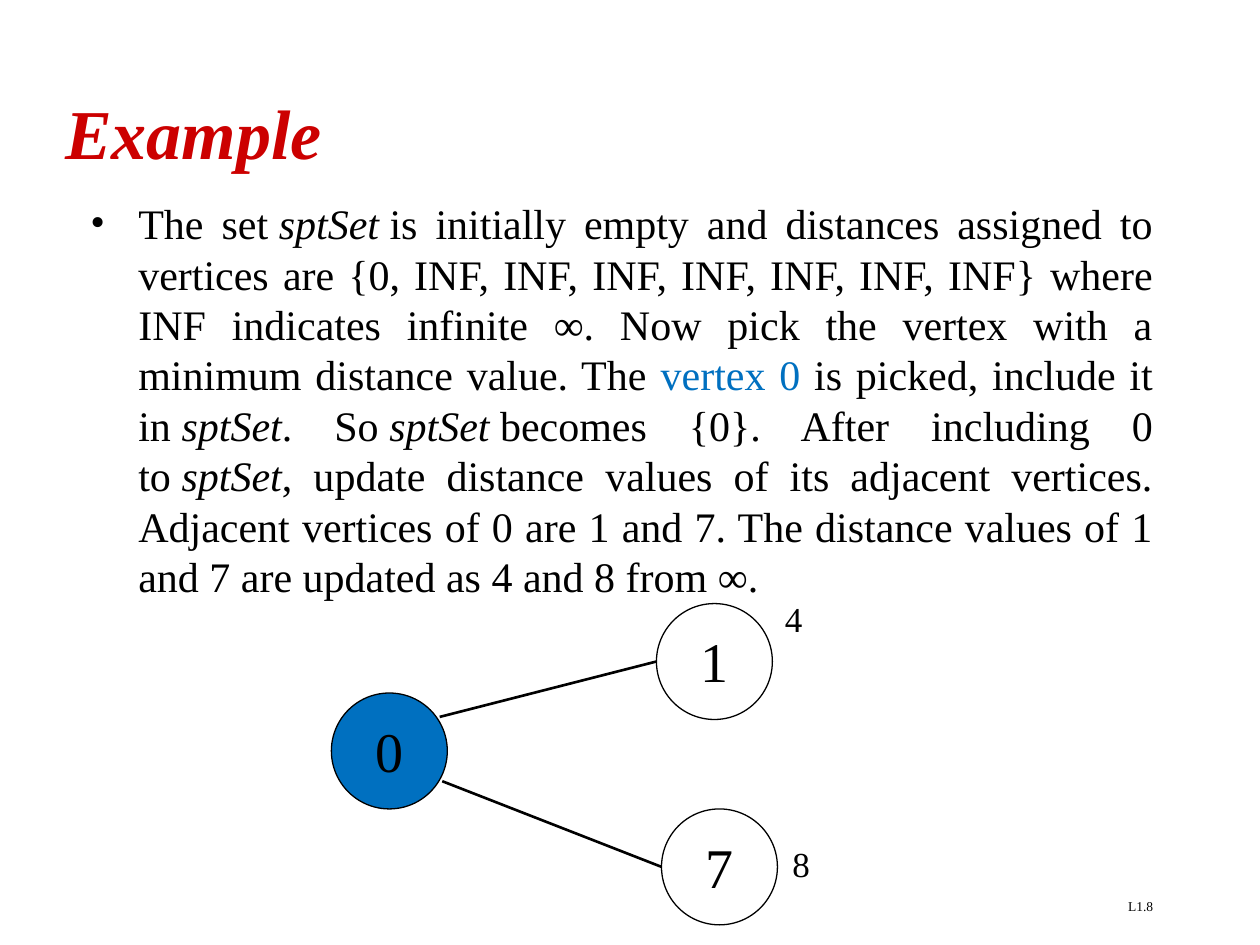
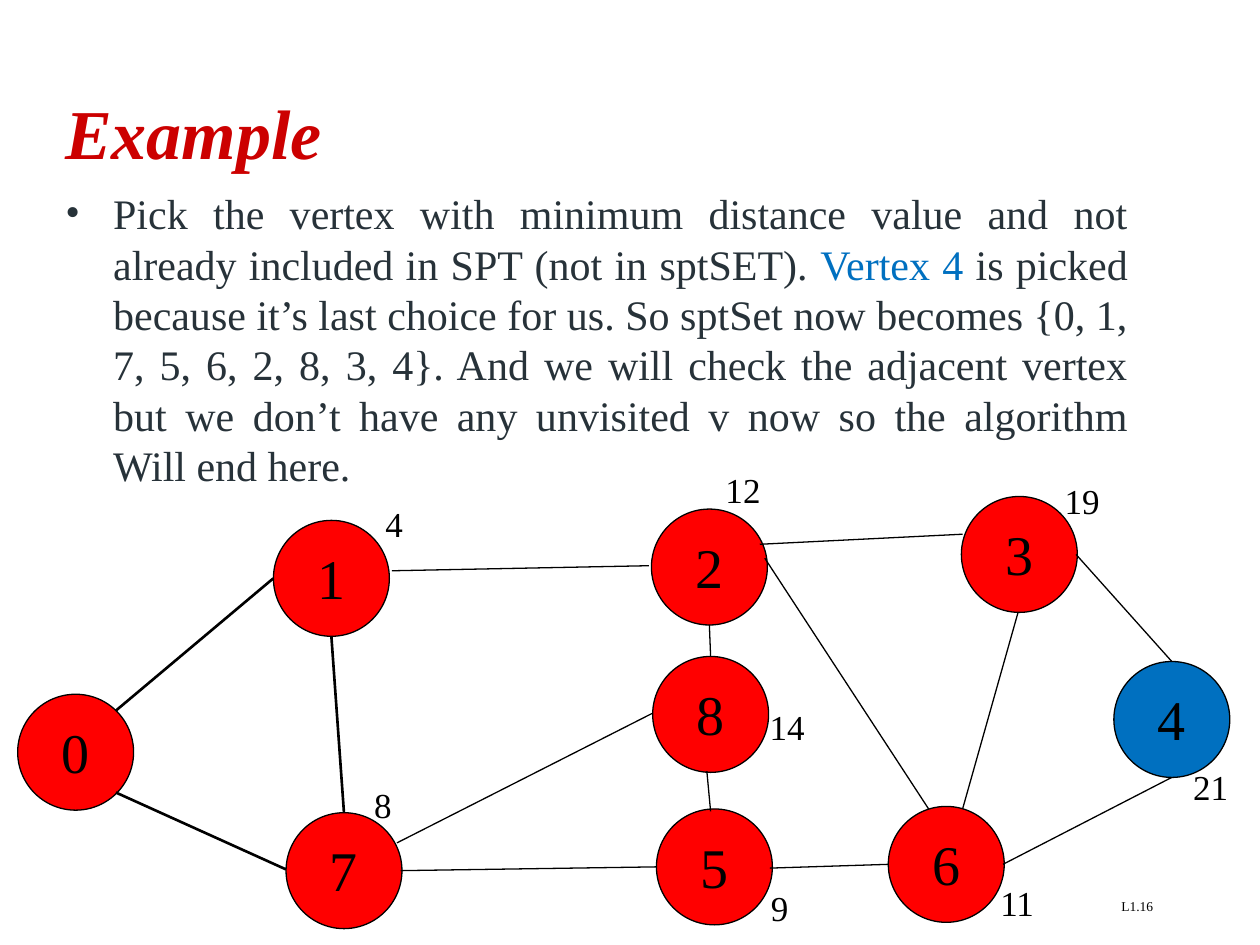
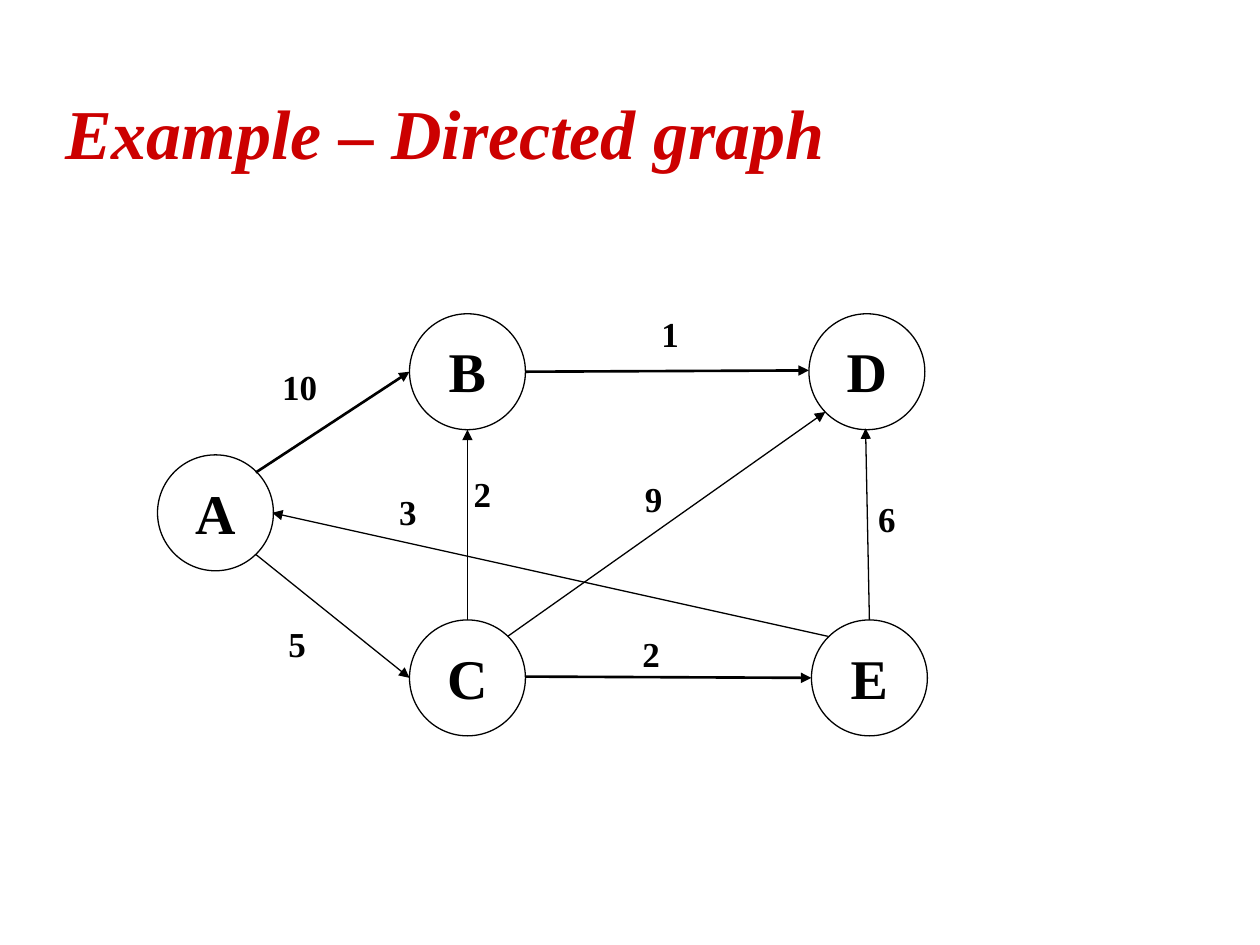
"""Builds three slides that show shortest-path steps and a directed graph."""
from lxml import etree
from pptx import Presentation
from pptx.dml.color import RGBColor
from pptx.enum import shapes, text
from pptx.oxml import ns
from pptx.util import Inches, Pt

COLORS = {"ink": "000000", "title": "CC0000", "slate": "273239",
          "picked": "0070C0", "done": "FF0000", "open": "FFFFFF"}
FONT = "Times New Roman"
NODE_SIZE = 0.92
LABEL_HEIGHT = 0.44
THIN, THICK = 0.74, 1.5


def add_run(paragraph, words, size, color="ink", bold=False, italic=False):
    run = paragraph.add_run()
    run.text = words
    run.font.name = FONT
    run.font.size = Pt(size)
    run.font.bold = bold
    run.font.italic = italic
    run.font.color.rgb = RGBColor.from_string(COLORS[color])


def add_box(slide, left, top, width, height):
    box = slide.shapes.add_textbox(Inches(left), Inches(top), Inches(width), Inches(height))
    box.text_frame.word_wrap = True
    return box.text_frame


slides = [
    {
        "title": "Example",
        "footer": "L1.8",
        "body_at": (0.62, 1.52, 8.63, 3.3),
        "body_color": "ink",
        "body": [
            ("The set\u00a0", ""), ("sptSet", "italic"),
            ("\u00a0is initially empty and distances assigned to vertices are "
             "{0, INF, INF, INF, INF, INF, INF, INF} where INF indicates infinite ∞. "
             "Now pick the vertex with a minimum distance value. The ", ""),
            ("vertex 0", "picked"), (" is picked, include it in\u00a0", ""),
            ("sptSet", "italic"), (". So\u00a0", ""), ("sptSet\u00a0", "italic"),
            ("becomes {0}. After including 0 to\u00a0", ""), ("sptSet", "italic"),
            (", update distance values of its adjacent vertices. Adjacent vertices of 0 "
             "are 1 and 7. The distance values of 1 and 7 are updated as 4 and 8 from ∞.", ""),
        ],
        "nodes": [("1", 5.21, 4.79, None), ("0", 2.63, 5.5, "picked"), ("7", 5.25, 6.42, None)],
        "edges": [(3.49, 5.69, 5.21, 5.25, THICK), (3.51, 6.2, 5.25, 6.88, THICK)],
        "labels": [("4", 6.13, 4.69, 0.38), ("8", 6.19, 6.64, 0.38)],
        "directed": False,
    },
    {
        "title": "Example",
        "footer": "L1.16",
        "body_at": (0.42, 1.44, 8.63, 2.5),
        "body_color": "slate",
        "body": [
            ("Pick the vertex with minimum distance value and not already included in SPT "
             "(not in sptSET). ", ""),
            ("Vertex 4 ", "picked"),
            ("is picked because it’s last choice for us. So sptSet now becomes "
             "{0, 1, 7, 5, 6, 2, 8, 3, 4}. And we will check the adjacent vertex but we don’t "
             "have any unvisited v now so the algorithm Will end here. ", ""),
        ],
        "nodes": [("1", 2.17, 4.13, "done"), ("0", 0.14, 5.51, "done"), ("7", 2.27, 6.45, "done"),
                  ("2", 5.17, 4.04, "done"), ("5", 5.21, 6.42, "done"), ("8", 5.18, 5.21, "done"),
                  ("6", 7.05, 6.4, "done"), ("3", 7.63, 3.94, "done"), ("4", 8.84, 5.25, "picked")],
        "edges": [(0.92, 5.64, 2.17, 4.59, THICK), (0.92, 6.29, 2.27, 6.9, THICK),
                  (2.63, 5.05, 2.73, 6.45, THICK), (3.11, 4.53, 5.15, 4.49, THIN),
                  (3.18, 6.91, 5.21, 6.88, THIN), (3.15, 6.69, 5.18, 5.66, THIN),
                  (6.11, 6.89, 7.05, 6.86, THIN), (5.64, 6.44, 5.61, 6.12, THIN),
                  (7.96, 6.86, 9.3, 6.17, THIN), (7.64, 6.42, 8.08, 4.86, THIN),
                  (7.37, 6.42, 6.07, 4.43, THIN), (6.03, 4.32, 7.64, 4.24, THIN),
                  (5.63, 4.96, 5.64, 5.21, THIN), (8.54, 4.4, 9.3, 5.25, THIN)],
        "labels": [("4", 2.96, 3.94, 0.38), ("8", 2.87, 6.17, 0.38), ("12", 5.66, 3.67, 0.5),
                   ("9", 6.02, 6.99, 0.38), ("14", 6.01, 5.55, 0.51), ("11", 7.84, 6.95, 0.49),
                   ("21", 9.37, 6.03, 0.52), ("19", 8.35, 3.76, 0.49)],
        "directed": False,
    },
    {
        "title": "Example – Directed graph ",
        "footer": None,
        "body": [],
        "nodes": [("A", 1.25, 3.61, "open"), ("C", 3.25, 4.92, "open"), ("D", 6.42, 2.49, "open"),
                  ("E", 6.44, 4.92, "open"), ("B", 3.25, 2.49, "open")],
        "edges": [(2.03, 3.75, 3.25, 2.95, THICK), (2.03, 4.4, 3.25, 5.38, THIN),
                  (4.17, 2.95, 6.42, 2.94, THICK), (4.17, 5.37, 6.44, 5.38, THICK),
                  (6.9, 4.92, 6.87, 3.4, THIN), (6.57, 5.05, 2.16, 4.07, THIN),
                  (3.71, 4.92, 3.71, 3.41, THIN), (4.03, 5.05, 6.55, 3.27, THIN)],
        "labels": [("2", 5, 4.97, 0.39), ("5", 2.19, 4.89, 0.38), ("10", 2.14, 2.85, 0.5),
                   ("2", 3.66, 3.7, 0.35), ("3", 3.07, 3.84, 0.35), ("9", 5.02, 3.74, 0.35),
                   ("6", 6.87, 3.9, 0.35), ("1", 5.15, 2.43, 0.35)],
        "directed": True,
    },
]

deck = Presentation()
deck.slide_width = Inches(10)
deck.slide_height = Inches(7.5)

for content in slides:
    slide = deck.slides.add_slide(deck.slide_layouts[6])
    directed = content["directed"]

    if content["footer"]:
        footer = add_box(slide, 7.17, 7.08, 2.08, 0.25).paragraphs[0]
        footer.alignment = text.PP_ALIGN.RIGHT
        add_run(footer, content["footer"], 7.7)

    title = add_box(slide, 0.42, 0.42, 9.33, 1.25)
    title.vertical_anchor = text.MSO_ANCHOR.MIDDLE
    add_run(title.paragraphs[0], content["title"], 40, "title", bold=True, italic=True)

    if content["body"]:
        body = add_box(slide, *content["body_at"]).paragraphs[0]
        body.alignment = text.PP_ALIGN.JUSTIFY
        body.space_before = Pt(6)
        indent = body._p.get_or_add_pPr()
        indent.set("marL", str(Inches(0.38)))
        indent.set("indent", str(-Inches(0.38)))
        bullet_color = etree.SubElement(indent, ns.qn("a:buClr"))
        etree.SubElement(bullet_color, ns.qn("a:srgbClr"), val=COLORS[content["body_color"]])
        etree.SubElement(indent, ns.qn("a:buFont"), typeface=FONT)
        etree.SubElement(indent, ns.qn("a:buChar"), char="•")
        for words, style in content["body"]:
            color = "picked" if style == "picked" else content["body_color"]
            add_run(body, words, 24, color, italic=style == "italic")

    for vertex, left, top, fill in content["nodes"]:
        node = slide.shapes.add_shape(shapes.MSO_SHAPE.OVAL, Inches(left), Inches(top),
                                      Inches(NODE_SIZE), Inches(NODE_SIZE))
        node.shadow.inherit = False
        if fill:
            node.fill.solid()
            node.fill.fore_color.rgb = RGBColor.from_string(COLORS[fill])
        else:
            node.fill.background()
        node.line.color.rgb = RGBColor.from_string(COLORS["ink"])
        node.line.width = Pt(THIN)
        node.text_frame.vertical_anchor = text.MSO_ANCHOR.TOP
        node.text_frame.paragraphs[0].alignment = text.PP_ALIGN.CENTER
        add_run(node.text_frame.paragraphs[0], vertex, 32, bold=directed)

    for x1, y1, x2, y2, weight in content["edges"]:
        edge = slide.shapes.add_connector(shapes.MSO_CONNECTOR.STRAIGHT, Inches(x1), Inches(y1),
                                          Inches(x2), Inches(y2))
        edge.line.color.rgb = RGBColor.from_string(COLORS["ink"])
        edge.line.width = Pt(weight)
        if directed:
            etree.SubElement(edge.line._get_or_add_ln(), ns.qn("a:tailEnd"), type="triangle")
        etree.SubElement(edge._element.spPr, ns.qn("a:effectLst"))

    for distance, left, top, width in content["labels"]:
        label = add_box(slide, left, top, width, LABEL_HEIGHT)
        add_run(label.paragraphs[0], distance, 20, bold=directed)

deck.save("out.pptx")
